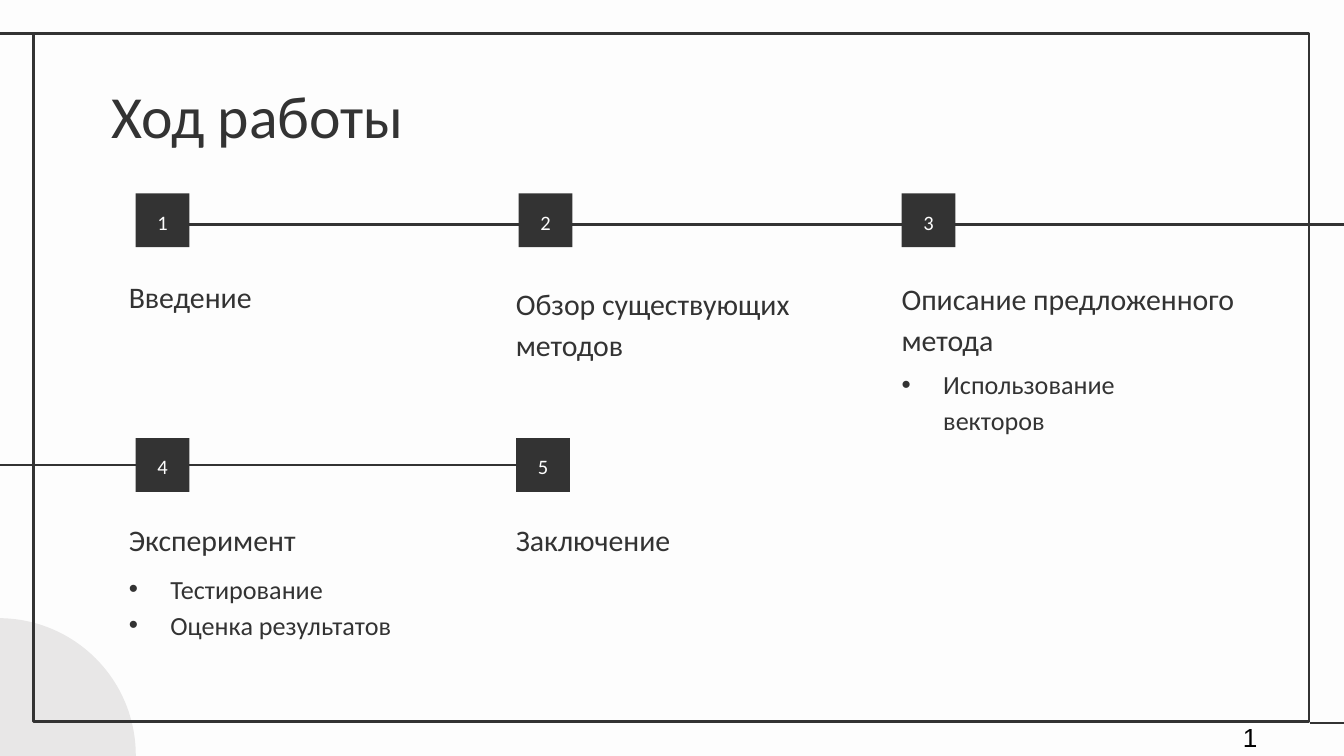
import pptx
import pptx.util
import pptx.dml.color
import pptx.enum.shapes
import pptx.enum.text
import pptx.oxml.ns
import lxml.etree

Inches = pptx.util.Inches
Pt = pptx.util.Pt
SHAPE = pptx.enum.shapes.MSO_SHAPE
ALIGN = pptx.enum.text.PP_ALIGN
ANCHOR = pptx.enum.text.MSO_ANCHOR
qn = pptx.oxml.ns.qn
HEX = {"dark": "333333", "light": "FDFDFD", "disc": "E8E7E7", "black": "000000"}
COL = {name: pptx.dml.color.RGBColor.from_string(code) for name, code in HEX.items()}

# Widescreen slide, 16:9
deck = pptx.Presentation()
deck.slide_width, deck.slide_height = Inches(10), Inches(10 * 9 / 16)
slide = deck.slides.add_slide(deck.slide_layouts[6])
slide.background.fill.solid()
slide.background.fill.fore_color.rgb = COL["light"]
shapes = slide.shapes


def write(shape, lines, size, color="dark", anchor=ANCHOR.TOP, align=ALIGN.LEFT,
          space=1.15, bullet=False, font="Calibri"):
    frame = shape.text_frame
    frame.word_wrap = True
    frame.vertical_anchor = anchor
    frame.margin_left = frame.margin_right = Inches(0.1)
    frame.margin_top = frame.margin_bottom = Inches(0.1)
    frame.text = "\n".join(lines)
    for para in frame.paragraphs:
        para.alignment = align
        para.line_spacing = space
        para.font.size = Pt(size)
        para.font.name = font
        para.font.color.rgb = COL[color]
        if bullet:
            props = para._p.get_or_add_pPr()
            props.set("marL", str(Inches(0.31)))
            props.set("indent", str(-Inches(0.31)))
            last = props.find(qn("a:defRPr"))
            last.addprevious(lxml.etree.Element(qn("a:buFont"), typeface="Arial"))
            last.addprevious(lxml.etree.Element(qn("a:buChar"), char="•"))


def rule(x1, x2, y):
    line = shapes.add_connector(pptx.enum.shapes.MSO_CONNECTOR.STRAIGHT,
                                Inches(x1), Inches(y), Inches(x2), Inches(y))
    line.line.color.rgb = COL["dark"]
    line.line.width = Pt(1.5)
    lxml.etree.SubElement(line._element.spPr, qn("a:effectLst"))
    return line


# Corner disc and frame
disc = shapes.add_shape(SHAPE.OVAL, Inches(-1.03), Inches(4.6), Inches(2.04), Inches(2.04))
disc.shadow.inherit = False
disc.fill.solid()
disc.fill.fore_color.rgb = COL["disc"]
disc.line.fill.background()

frame = shapes.add_shape(SHAPE.RECTANGLE, Inches(0.25), Inches(0.25), Inches(9.49), Inches(5.12))
frame.shadow.inherit = False
frame.fill.background()
frame.line.color.rgb = COL["dark"]
frame.line.width = Pt(1.5)
rule(0.26, 0, 0.25)
rule(10, 9.75, 5.38)

# Timelines behind the numbered boxes
rule(1.41, 10, 1.67)
lower = rule(0, 3.84, 3.46)

# Numbered boxes
side = 0.4
spots = [(1.01, 1.44), (3.86, 1.44), (6.71, 1.44), (1.01, 3.26), (3.84, 3.26)]
for num, (x, y) in enumerate(spots, 1):
    box = shapes.add_shape(SHAPE.RECTANGLE, Inches(x), Inches(y), Inches(side), Inches(side))
    box.shadow.inherit = False
    box.fill.solid()
    box.fill.fore_color.rgb = COL["dark"]
    box.line.fill.background()
    write(box, [str(num)], 11, "light", ANCHOR.MIDDLE, ALIGN.CENTER)
lower.end_connect(box, 1)

# Title
title = shapes.add_textbox(Inches(0.73), Inches(0.49), Inches(8.43), Inches(0.63))
write(title, ["Ход работы"], 32, space=1)

# Step headings
heads = [
    (0.86, 2.02, 2.52, ["Введение"]),
    (3.74, 2.38, 2.52, ["Обзор существующих", "методов"]),
    (6.61, 2.34, 2.78, ["Описание предложенного метода"]),
    (0.86, 3.83, 2.52, ["Эксперимент"]),
    (3.74, 3.83, 2.52, ["Заключение"]),
]
for x, y, width, lines in heads:
    head = shapes.add_textbox(Inches(x), Inches(y), Inches(width), Inches(0.42))
    write(head, lines, 16, anchor=ANCHOR.BOTTOM)

# Bulleted details
notes = [
    (6.61, 2.61, ["Использование векторов"]),
    (0.86, 4.13, ["Тестирование", "Оценка результатов"]),
]
for x, y, lines in notes:
    note = shapes.add_textbox(Inches(x), Inches(y), Inches(2.52), Inches(0.63))
    write(note, lines, 14, bullet=True)

# Page number
page = shapes.add_textbox(Inches(9.15), Inches(5.32), Inches(0.8), Inches(0.3))
write(page, ["1"], 14, "black", space=1, font="Arial")
page.text_frame.margin_top = page.text_frame.margin_bottom = Inches(0.05)

deck.save("out.pptx")
